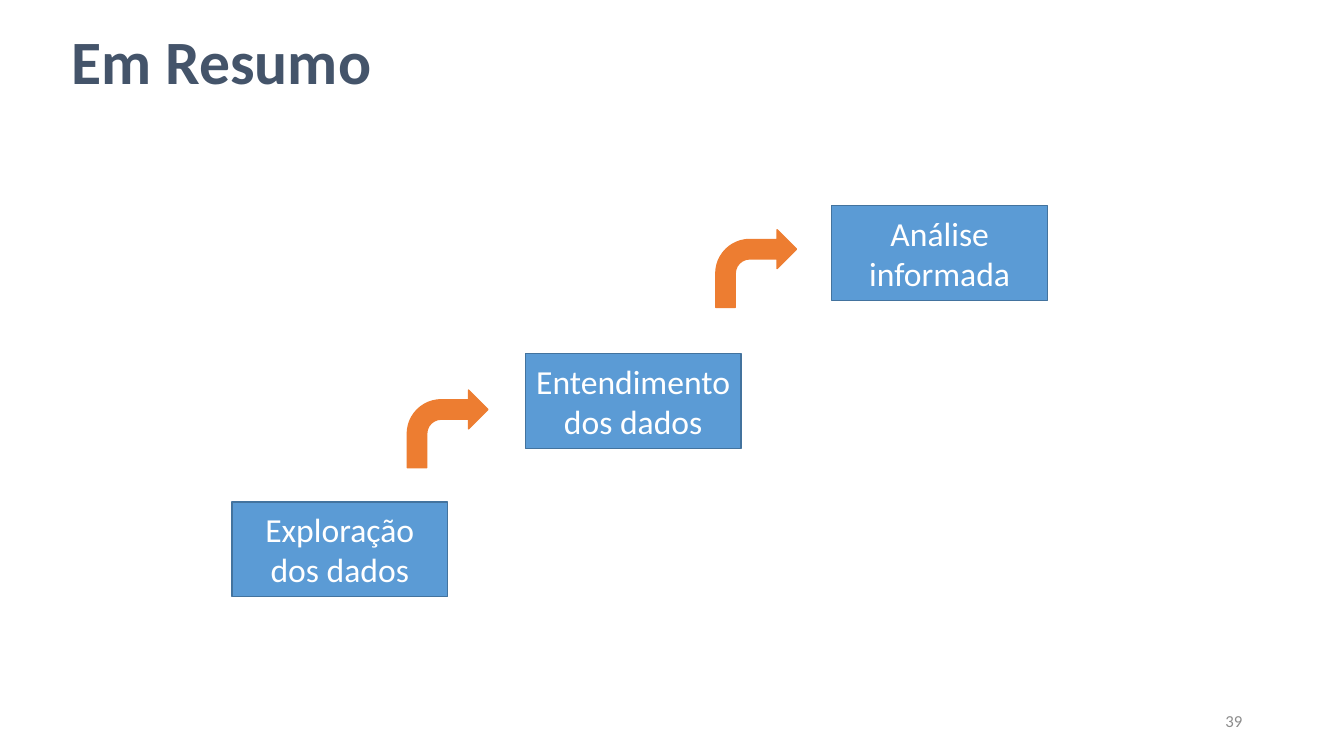
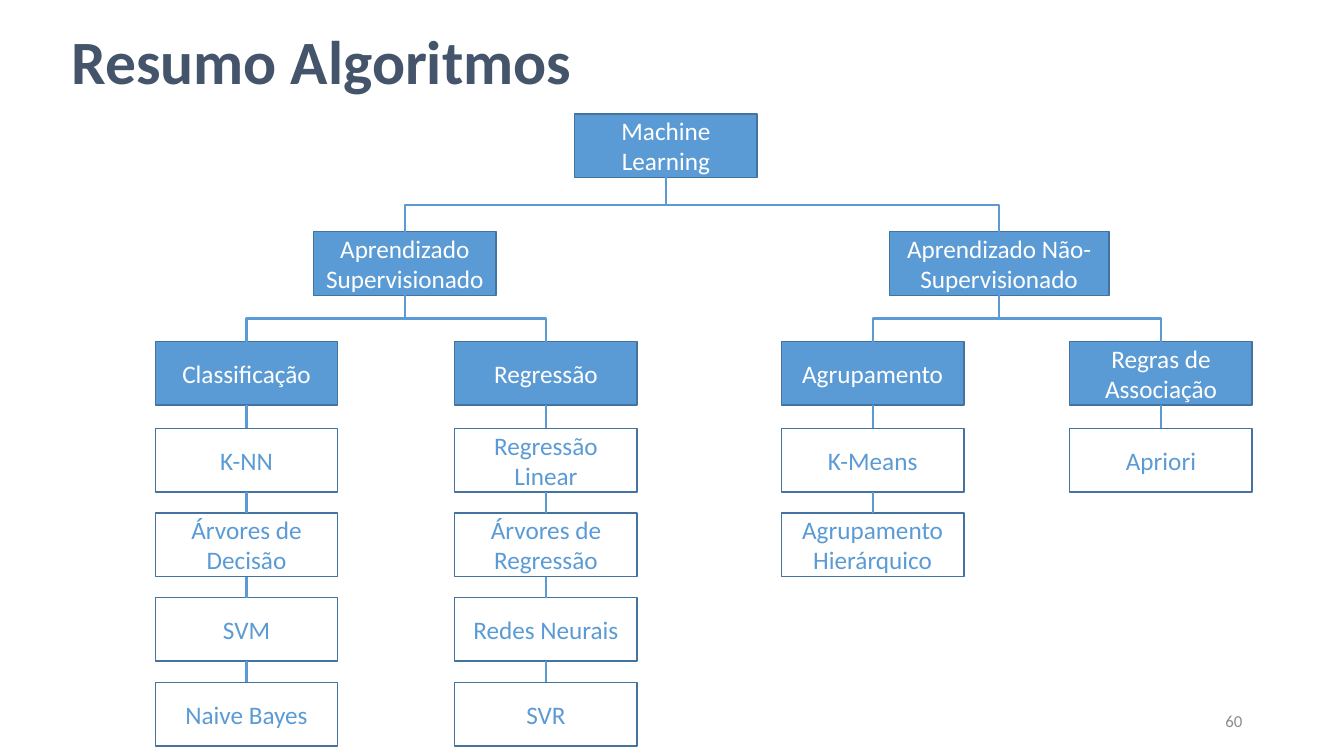
from lxml.etree import SubElement
from pptx import Presentation
from pptx.dml.color import RGBColor
from pptx.enum.shapes import MSO_CONNECTOR, MSO_SHAPE
from pptx.enum.text import MSO_ANCHOR, MSO_AUTO_SIZE, PP_ALIGN
from pptx.oxml.ns import qn
from pptx.util import Inches, Pt

BLUE = RGBColor(0x5B, 0x9B, 0xD5)
DARK_BLUE = RGBColor(0x43, 0x73, 0x9E)
ORANGE = RGBColor(0xED, 0x7D, 0x31)
SLATE = RGBColor(0x44, 0x54, 0x6A)
GRAY = RGBColor(0x8C, 0x8C, 0x8C)
WHITE = RGBColor(0xFF, 0xFF, 0xFF)

FONT = "Calibri"
TITLE_BOX = (0.61, 0.1, 12.36, 1.08)
NUMBER_BOX = (9.42, 6.95, 3, 0.4)
STAIRCASE_BOX = (2.3, 2.04, 8.09, 3.88)
TREE_BOX = (1.54, 1.13, 10.88, 6.28)

STEP_SIZE = (2.14, 0.94)
STEP_RISE = 1.47
STEPS = [
    (0, "Exploração dos dados"),
    (2.91, "Entendimento dos dados"),
    (5.95, "Análise informada"),
]
ARROW_SIZE = (0.8, 0.77)
ARROWS = [(1.74, 1.83), (4.8, 0.24)]

NODE_WIDTH = 1.81
NODE_HEIGHT = 0.63
LEVEL_TOPS = [0, 1.17, 2.26]
LEAF_TOP = 3.12
LEAF_PITCH = 0.84
ROOT = (4.16, "Machine Learning")
BRANCHES = [
    (1.57, NODE_WIDTH, "Aprendizado Supervisionado", [
        (0, "Classificação", ["K-NN", "Árvores de Decisão", "SVM", "Naive Bayes"]),
        (2.97, "Regressão", ["Regressão Linear", "Árvores de Regressão", "Redes Neurais", "SVR"]),
    ]),
    (7.28, 2.18, "Aprendizado Não-Supervisionado", [
        (6.21, "Agrupamento", ["K-Means", "Agrupamento Hierárquico"]),
        (9.07, "Regras de Associação", ["Apriori"]),
    ]),
]


def apply_formats(target, formats):
    """Set each attribute named in the formats on the target."""
    for name, value in formats.items():
        setattr(target, name, value)


def write_text(shape, text, size, color, alignment, bold=False, spacing=1.0):
    """Fill a shape with one formatted, vertically centred paragraph."""
    frame = shape.text_frame
    frame.text = text
    apply_formats(frame, {
        "word_wrap": True,
        "auto_size": MSO_AUTO_SIZE.NONE,
        "vertical_anchor": MSO_ANCHOR.MIDDLE,
    })
    paragraph = frame.paragraphs[0]
    apply_formats(paragraph, {"alignment": alignment, "line_spacing": spacing})
    apply_formats(paragraph.font, {"name": FONT, "size": Pt(size), "bold": bold})
    paragraph.font.color.rgb = color


def add_filled_shape(slide, kind, box, fill, outline):
    """Add a flat preset shape with a thin outline."""
    shape = slide.shapes.add_shape(kind, *map(Inches, box))
    shape.shadow.inherit = False
    shape.fill.solid()
    shape.fill.fore_color.rgb = fill
    shape.line.color.rgb = outline
    shape.line.width = Pt(1)
    return shape


def add_label(slide, box, text, size, fill=BLUE, color=WHITE):
    """Add a rectangle with centred text."""
    shape = add_filled_shape(slide, MSO_SHAPE.RECTANGLE, box, fill, DARK_BLUE)
    write_text(shape, text, size, color, PP_ALIGN.CENTER)
    return shape


def join(slide, parent, child, kind=MSO_CONNECTOR.STRAIGHT):
    """Connect the bottom of the parent to the top of the child."""
    connector = slide.shapes.add_connector(kind, 0, 0, 0, 0)
    connector.begin_connect(parent, 2)
    connector.end_connect(child, 0)
    if kind == MSO_CONNECTOR.ELBOW:
        turn_elbow(connector)
    connector.line.color.rgb = BLUE
    connector.line.width = Pt(1.5)
    SubElement(connector.element.spPr, qn("a:effectLst"))


def turn_elbow(connector):
    """Rotate an elbow so that it leaves and arrives vertically."""
    run = connector.end_x - connector.begin_x
    drop = connector.end_y - connector.begin_y
    center_x = connector.begin_x + run // 2
    center_y = connector.begin_y + drop // 2
    half_width = drop // 2 if run < 0 else -drop // 2
    half_height = abs(run) // 2
    apply_formats(connector, {
        "begin_x": center_x - half_width,
        "end_x": center_x + half_width,
        "begin_y": center_y - half_height,
        "end_y": center_y + half_height,
    })
    degrees = 90 if run < 0 else 270
    connector.element.spPr.find(qn("a:xfrm")).set("rot", str(degrees * 60000))


def add_titled_slide(presentation, title, number):
    """Add a slide with the shared title style and page number."""
    slide = presentation.slides.add_slide(presentation.slide_layouts[5])
    heading = slide.shapes.title
    apply_formats(heading, dict(zip(("left", "top", "width", "height"), map(Inches, TITLE_BOX))))
    write_text(heading, title, 44, SLATE, PP_ALIGN.LEFT, bold=True, spacing=0.9)
    page = slide.shapes.add_textbox(*map(Inches, NUMBER_BOX))
    write_text(page, number, 12, GRAY, PP_ALIGN.RIGHT)
    return slide


def add_staircase(slide, box):
    """Place the rising steps and the arrows between them."""
    left, top, _, height = box
    first_top = top + height - STEP_SIZE[1]
    for index, (offset, text) in enumerate(STEPS):
        add_label(slide, (left + offset, first_top - index * STEP_RISE, *STEP_SIZE), text, 24)
    for across, down in ARROWS:
        arrow_box = (left + across, top + down, *ARROW_SIZE)
        add_filled_shape(slide, MSO_SHAPE.BENT_ARROW, arrow_box, ORANGE, ORANGE)


def add_tree(slide, box):
    """Place the algorithm tree, from its root to its leaf columns."""
    left, top, _, _ = box

    def add_node(across, down, text, width=NODE_WIDTH, **colors):
        """Place one node inside the tree box."""
        return add_label(slide, (left + across, top + down, width, NODE_HEIGHT), text, 18, **colors)

    root = add_node(ROOT[0], LEVEL_TOPS[0], ROOT[1])
    for branch_left, branch_width, branch_text, groups in BRANCHES:
        branch = add_node(branch_left, LEVEL_TOPS[1], branch_text, branch_width)
        join(slide, root, branch, MSO_CONNECTOR.ELBOW)
        for group_left, group_text, leaves in groups:
            above = add_node(group_left, LEVEL_TOPS[2], group_text)
            join(slide, branch, above, MSO_CONNECTOR.ELBOW)
            for index, leaf_text in enumerate(leaves):
                leaf_top = LEAF_TOP + index * LEAF_PITCH
                leaf = add_node(group_left, leaf_top, leaf_text, fill=WHITE, color=BLUE)
                join(slide, above, leaf)
                above = leaf


def main():
    """Build and save the presentation."""
    presentation = Presentation()
    apply_formats(presentation, {"slide_width": Inches(13.33), "slide_height": Inches(7.5)})
    add_staircase(add_titled_slide(presentation, "Em Resumo", "39"), STAIRCASE_BOX)
    add_tree(add_titled_slide(presentation, "Resumo Algoritmos", "60"), TREE_BOX)
    presentation.save("out.pptx")


if __name__ == "__main__":
    main()
